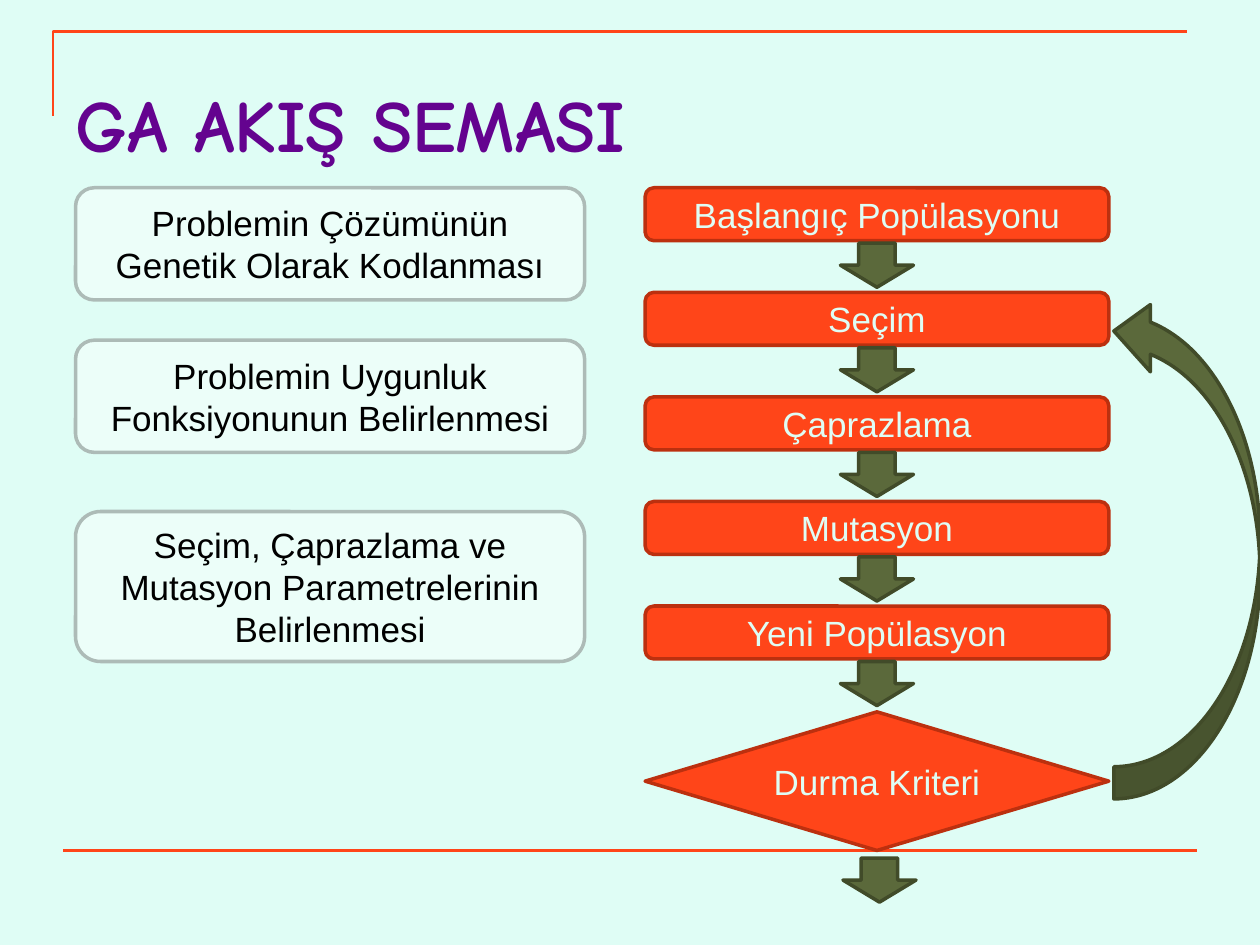
from dataclasses import dataclass

from lxml.etree import SubElement
from pptx import Presentation
from pptx.dml.color import RGBColor
from pptx.enum.shapes import MSO_CONNECTOR, MSO_SHAPE
from pptx.enum.text import MSO_ANCHOR, PP_ALIGN
from pptx.oxml.ns import qn
from pptx.util import Inches, Pt


@dataclass(frozen=True)
class Theme:
    background: str = "DFFDF5"
    accent: str = "FF4519"
    accent_edge: str = "BC300F"
    arrow: str = "5B693B"
    arrow_edge: str = "414B29"
    panel: str = "ECFEF9"
    panel_edge: str = "ADBBB7"
    title: str = "64038F"
    ink: str = "000000"
    title_font: str = "Comic Neue"
    body_font: str = "Arial"
    title_size: int = 42
    body_size: int = 20
    rule_width: float = 1.5
    edge_width: float = 2


THEME = Theme()

PREPARATIONS = [
    ("Problemin Çözümünün\nGenetik Olarak Kodlanması", 1.49, 0.89),
    ("Problemin Uygunluk Fonksiyonunun Belirlenmesi", 2.7, 0.89),
    ("Seçim, Çaprazlama ve Mutasyon Parametrelerinin Belirlenmesi", 4.06, 1.19),
]
STEPS = ["Başlangıç Popülasyonu", "Seçim", "Çaprazlama", "Mutasyon", "Yeni Popülasyon"]
STEP_LEFT, STEP_TOP, STEP_WIDTH, STEP_HEIGHT = 5.12, 1.49, 3.68, 0.42
STEP_PITCH = 0.83


def color(value):
    return RGBColor.from_string(value)


def style_line(line, value, width):
    line.color.rgb = color(value)
    line.width = Pt(width)


def style_text(tf, font, size, value, bold=False):
    for p in tf.paragraphs:
        for r in p.runs:
            r.font.name = font
            r.font.size = Pt(size)
            r.font.bold = bold
            r.font.color.rgb = color(value)


def add_block(slide, kind, box, fill, edge):
    sp = slide.shapes.add_shape(kind, *map(Inches, box))
    sp.shadow.inherit = False
    sp.fill.solid()
    sp.fill.fore_color.rgb = color(fill)
    style_line(sp.line, edge, THEME.edge_width)
    return sp


def add_label_block(slide, kind, box, text, fill, edge, ink, inset=0.1):
    sp = add_block(slide, kind, box, fill, edge)
    tf = sp.text_frame
    tf.text = text
    tf.word_wrap = True
    tf.vertical_anchor = MSO_ANCHOR.MIDDLE
    tf.margin_left = tf.margin_right = Inches(inset)
    tf.margin_top = tf.margin_bottom = 0
    for p in tf.paragraphs:
        p.alignment = PP_ALIGN.CENTER
    style_text(tf, THEME.body_font, THEME.body_size, ink)


def add_step(slide, kind, box, text, inset=0.1):
    add_label_block(slide, kind, box, text, THEME.accent, THEME.accent_edge,
                    THEME.background, inset)


def add_down_arrow(slide, left, top):
    add_block(slide, MSO_SHAPE.DOWN_ARROW, (left, top, 0.58, 0.35),
              THEME.arrow, THEME.arrow_edge)


def add_return_arrow(slide):
    sp = add_block(slide, MSO_SHAPE.CURVED_RIGHT_ARROW, (8.84, 2.36, 1.16, 3.98),
                   THEME.arrow, THEME.arrow_edge)
    sp.rotation = 180
    for i, value in enumerate((0.22, 0.46, 0.25)):
        sp.adjustments[i] = value


def add_frame(slide):
    builder = slide.shapes.build_freeform(Inches(0.42), Inches(0.92))
    builder.add_line_segments(
        [(Inches(0.42), Inches(0.25)), (Inches(9.42), Inches(0.25))], close=False)
    corner = builder.convert_to_shape()
    corner.shadow.inherit = False
    corner.fill.background()
    style_line(corner.line, THEME.accent, THEME.rule_width)

    rule = slide.shapes.add_connector(
        MSO_CONNECTOR.STRAIGHT, Inches(0.5), Inches(6.75), Inches(9.5), Inches(6.75))
    style_line(rule.line, THEME.accent, THEME.rule_width)
    SubElement(rule._element.spPr, qn("a:effectLst"))


def add_title(slide, text):
    sp = slide.shapes.title
    sp.left, sp.top, sp.width, sp.height = map(Inches, (0.5, 0.49, 9, 0.97))
    tf = sp.text_frame
    tf.text = text
    tf.vertical_anchor = MSO_ANCHOR.MIDDLE
    tf.paragraphs[0].alignment = PP_ALIGN.LEFT
    style_text(tf, THEME.title_font, THEME.title_size, THEME.title, bold=True)


def add_flow(slide):
    for i, text in enumerate(STEPS):
        top = STEP_TOP + i * STEP_PITCH
        add_step(slide, MSO_SHAPE.ROUNDED_RECTANGLE,
                 (STEP_LEFT, top, STEP_WIDTH, STEP_HEIGHT), text)
        add_down_arrow(slide, 6.67, top + 0.44)
    add_step(slide, MSO_SHAPE.DIAMOND, (STEP_LEFT, 5.65, STEP_WIDTH, 1.1),
             "Durma Kriteri", inset=0)
    add_return_arrow(slide)
    add_down_arrow(slide, 6.69, 6.81)


def main():
    prs = Presentation()
    prs.slide_width, prs.slide_height = Inches(10), Inches(7.5)
    slide = prs.slides.add_slide(prs.slide_layouts[5])
    slide.background.fill.solid()
    slide.background.fill.fore_color.rgb = color(THEME.background)
    add_frame(slide)
    add_title(slide, "GA AKIŞ SEMASI")
    add_flow(slide)
    for text, top, height in PREPARATIONS:
        add_label_block(slide, MSO_SHAPE.ROUNDED_RECTANGLE, (0.6, top, 4.04, height),
                        text, THEME.panel, THEME.panel_edge, THEME.ink)
    prs.save("out.pptx")


main()
